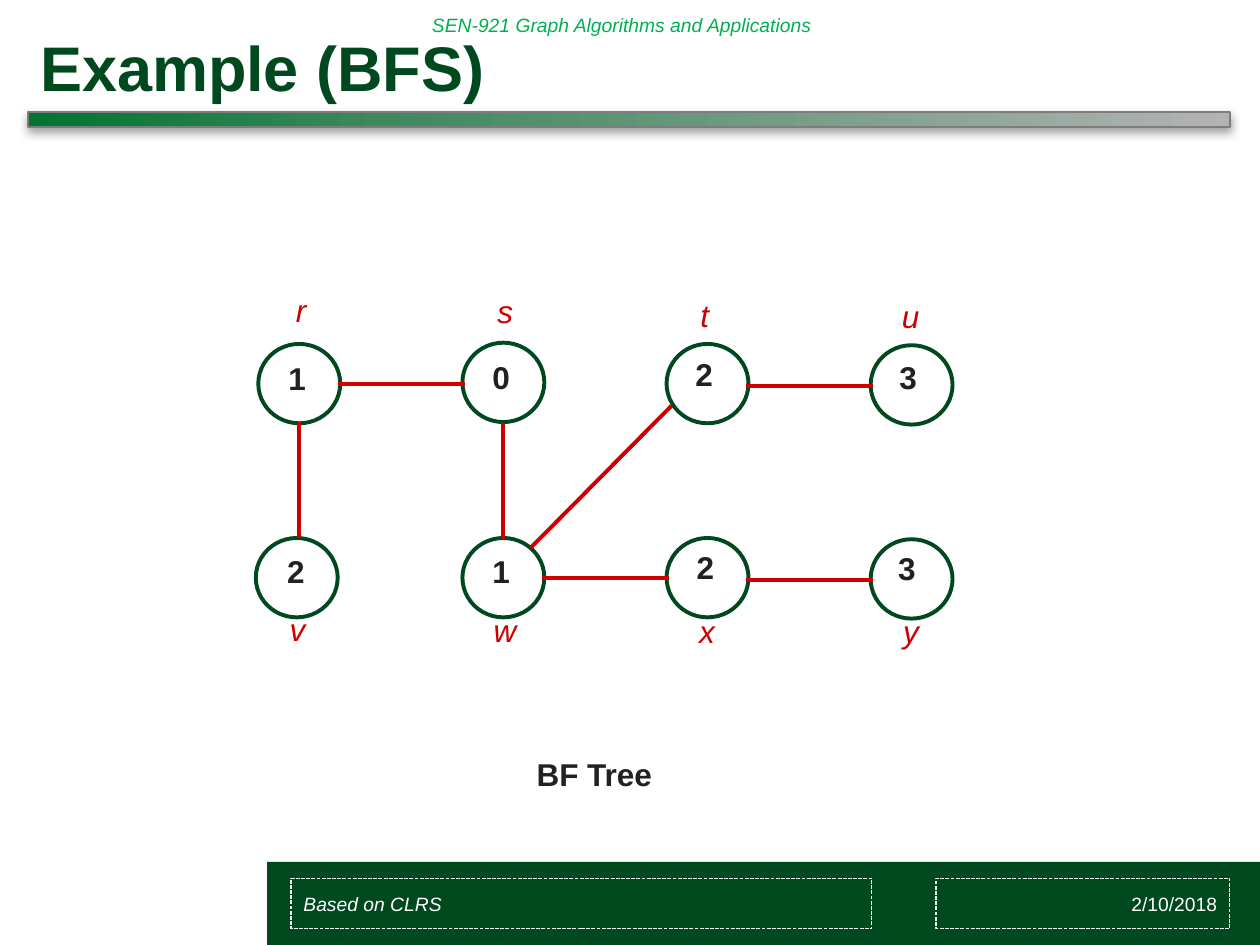
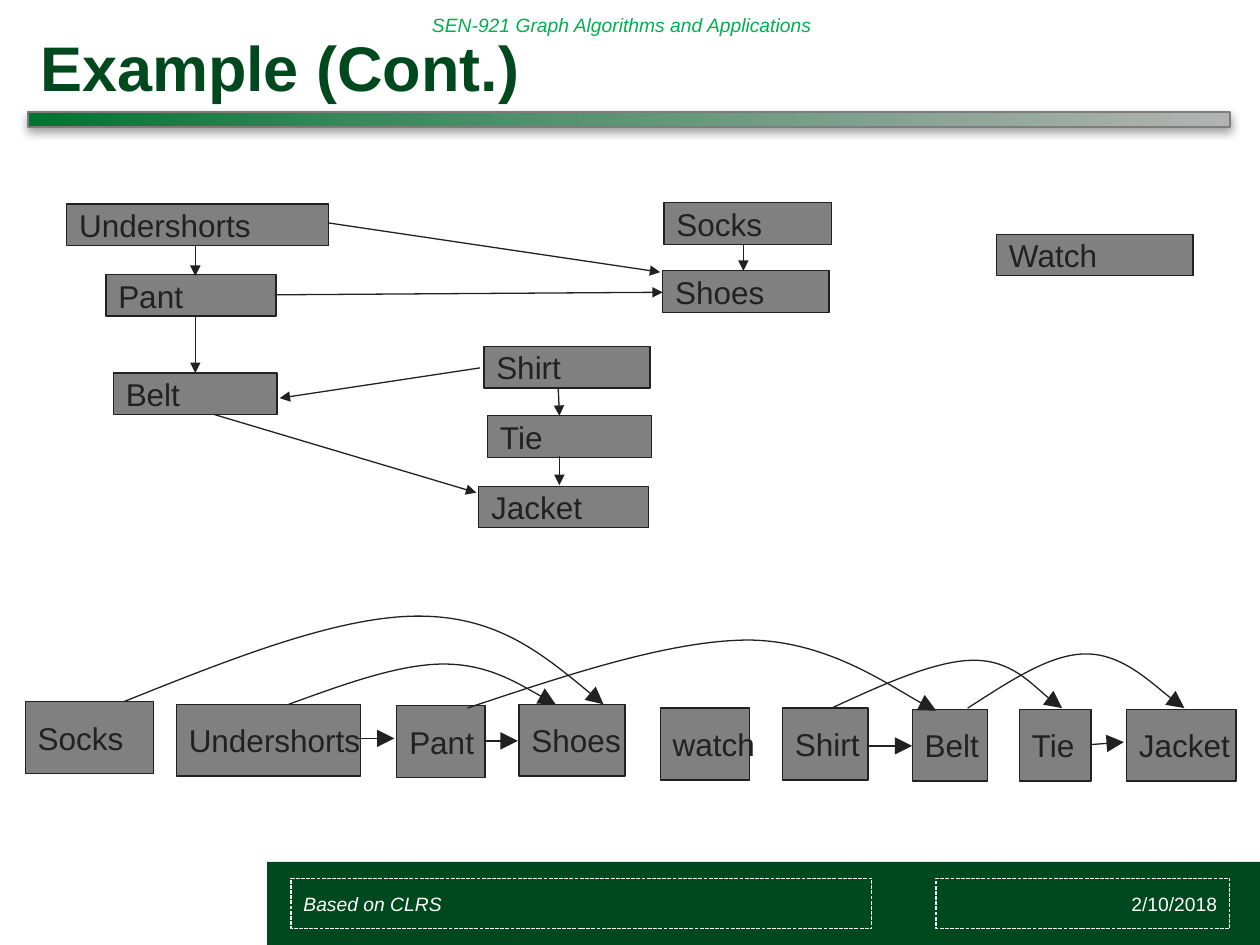
from copy import deepcopy

from lxml import etree
from pptx import Presentation
from pptx.dml.color import RGBColor
from pptx.enum.dml import MSO_LINE
from pptx.enum.shapes import MSO_CONNECTOR, MSO_SHAPE
from pptx.enum.text import MSO_ANCHOR as ANCHOR, PP_ALIGN as ALIGN
from pptx.oxml.ns import qn
from pptx.util import Inches, Pt

GREEN = RGBColor(0x00, 0x48, 0x1E)
COURSE_GREEN = RGBColor(0x00, 0xB0, 0x50)
BAR_STOPS = [(0, RGBColor(0x00, 0x74, 0x30)), (0.29, RGBColor(0x3C, 0x89, 0x5C)),
             (1, RGBColor(0xB3, 0xB3, 0xB3))]
BAR_EDGE = RGBColor(0x7D, 0x7D, 0x7D)
RED = RGBColor(0xCC, 0x00, 0x00)
INK = RGBColor(0x21, 0x21, 0x21)
GREY = RGBColor(0x80, 0x80, 0x80)
PALE = RGBColor(0xF2, 0xF2, 0xF2)
WHITE = RGBColor(0xFF, 0xFF, 0xFF)


def write(box, text, size, color, bold=False, italic=False,
          align=ALIGN.LEFT, anchor=ANCHOR.MIDDLE, wrap=False):
    frame = box.text_frame
    frame.text = text
    frame.word_wrap = wrap
    frame.vertical_anchor = anchor
    paragraph = frame.paragraphs[0]
    paragraph.alignment = align
    font = paragraph.runs[0].font
    font.name, font.size, font.color.rgb = "Arial", Pt(size), color
    font.bold, font.italic = bold, italic


def outline(shape, color, width, arrow=None):
    """Set the line, an optional arrowhead of the given size, and no shadow."""
    shape.line.color.rgb = color
    shape.line.width = Pt(width)
    if arrow:
        etree.SubElement(shape.line._get_or_add_ln(), qn("a:tailEnd"),
                         type="triangle", w=arrow, len=arrow)
    return etree.SubElement(shape.element.spPr, qn("a:effectLst"))


deck = Presentation()
deck.slide_width, deck.slide_height = Inches(10), Inches(7.5)

# Frame shared by both slides
pages = []
for title in ("Example (BFS)", "Example (Cont.)"):
    page = deck.slides.add_slide(deck.slide_layouts[6])
    pages.append(page)

    band = page.shapes.add_shape(MSO_SHAPE.RECTANGLE, Inches(2.12), Inches(6.84),
                                 Inches(7.88), Inches(0.66))
    band.shadow.inherit = False
    band.fill.solid()
    band.fill.fore_color.rgb = GREEN
    band.line.fill.background()

    course = page.shapes.add_textbox(Inches(3.33), 0, Inches(4.61), Inches(0.4))
    write(course, "SEN-921 Graph Algorithms and Applications", 11, COURSE_GREEN,
          italic=True, wrap=True)

    # Gradient bar with a soft shadow
    bar = page.shapes.add_shape(MSO_SHAPE.RECTANGLE, Inches(0.22), Inches(0.89),
                                Inches(9.54), Inches(0.12))
    bar.fill.gradient()
    bar.fill.gradient_angle = 0
    stop_list = bar.element.spPr.find(".//" + qn("a:gsLst"))
    stop_list.append(deepcopy(stop_list[0]))
    for stop, (position, color) in zip(bar.fill.gradient_stops, BAR_STOPS):
        stop.position = position
        stop.color.rgb = color
    effects = outline(bar, BAR_EDGE, 1)
    shadow = etree.SubElement(effects, qn("a:outerShdw"), blurRad=str(Pt(5)),
                              dist=str(Pt(2)), dir="5400000", rotWithShape="0")
    shade = etree.SubElement(shadow, qn("a:srgbClr"), val=str(GREY))
    etree.SubElement(shade, qn("a:alpha"), val="75000")

    heading = page.shapes.add_textbox(Inches(0.22), Inches(0.16), Inches(9.54), Inches(0.73))
    write(heading, title, 36, GREEN, bold=True)

    for text, left, width, align, italic in (
            ("2/10/2018", 7.43, 2.33, ALIGN.RIGHT, False),
            ("Based on CLRS", 2.31, 4.61, ALIGN.LEFT, True)):
        footer = page.shapes.add_shape(MSO_SHAPE.RECTANGLE, Inches(left), Inches(6.97),
                                       Inches(width), Inches(0.4))
        footer.fill.background()
        outline(footer, PALE, 0.75)
        footer.line.dash_style = MSO_LINE.SQUARE_DOT
        write(footer, text, 11, WHITE, italic=italic, align=align, wrap=True)

tree_page, order_page = pages

# Breadth-first tree: circle, distance and name of each vertex
vertices = [
    ("r", 2.25, 2.26, 0.29, "1", 2.19, 2.80, 2.05, 2.73),
    ("s", 3.85, 2.27, 0.33, "0", 3.81, 2.79, 3.67, 2.72),
    ("t", 5.46, 2.30, 0.27, "2", 5.42, 2.77, 5.29, 2.73),
    ("u", 7.06, 2.31, 0.34, "3", 7.04, 2.79, 6.91, 2.74),
    ("v", 2.20, 4.79, 0.33, "2", 2.18, 4.33, 2.03, 4.27),
    ("w", 3.82, 4.80, 0.38, "1", 3.81, 4.33, 3.67, 4.27),
    ("x", 5.45, 4.81, 0.33, "2", 5.43, 4.30, 5.29, 4.27),
    ("y", 7.07, 4.81, 0.33, "3", 7.03, 4.31, 6.91, 4.28),
]
for name, name_x, name_y, name_width, distance, digit_x, digit_y, left, top in vertices:
    circle = tree_page.shapes.add_shape(MSO_SHAPE.OVAL, Inches(left), Inches(top),
                                        Inches(0.65), Inches(0.63))
    circle.fill.background()
    outline(circle, GREEN, 2.25)
    digit = tree_page.shapes.add_textbox(Inches(digit_x), Inches(digit_y),
                                         Inches(0.37), Inches(0.5))
    write(digit, distance, 18, INK, bold=True, anchor=ANCHOR.TOP)
    label = tree_page.shapes.add_textbox(Inches(name_x), Inches(name_y),
                                         Inches(name_width), Inches(0.4))
    write(label, name, 18, RED, italic=True, anchor=ANCHOR.TOP)

caption = tree_page.shapes.add_textbox(Inches(4.16), Inches(5.94), Inches(1.38), Inches(0.5))
write(caption, "BF Tree", 18, INK, bold=True, anchor=ANCHOR.TOP)

tree_edges = [
    (2.68, 3.05, 3.69, 3.05), (4.30, 4.59, 5.31, 4.59), (5.92, 4.60, 6.93, 4.60),
    (5.92, 3.06, 6.93, 3.06), (2.37, 3.35, 2.37, 4.27), (3.99, 3.36, 3.99, 4.28),
    (4.21, 4.35, 5.33, 3.22),
]
for ends in tree_edges:
    edge = tree_page.shapes.add_connector(MSO_CONNECTOR.STRAIGHT, *map(Inches, ends))
    outline(edge, RED, 2.25)

# Clothing graph above, its topological order below
graph_boxes = [
    ("Undershorts", 0.53, 1.62, 2.08), ("Watch", 7.91, 1.86, 1.56),
    ("Socks", 5.27, 1.61, 1.33), ("Jacket", 3.80, 3.86, 1.35),
    ("Tie", 3.87, 3.30, 1.30), ("Shirt", 3.84, 2.75, 1.32),
    ("Belt", 0.90, 2.96, 1.30), ("Shoes", 5.26, 2.15, 1.32),
    ("Pant", 0.84, 2.18, 1.35),
]
order_boxes = [
    ("Socks", 0.20, 5.57, 1.02), ("Jacket", 8.94, 5.63, 0.87),
    ("Undershorts", 1.40, 5.59, 1.46), ("Pant", 3.15, 5.60, 0.70),
    ("Shoes", 4.12, 5.59, 0.84), ("watch", 5.24, 5.62, 0.71),
    ("Shirt", 6.21, 5.62, 0.68), ("Belt", 7.24, 5.63, 0.60),
    ("Tie", 8.09, 5.63, 0.57),
]
graph_arrows = [
    (5.90, 1.94, 5.90, 2.15), (4.43, 3.07, 4.44, 3.30), (4.44, 3.62, 4.44, 3.85),
    (1.55, 1.95, 1.55, 2.19), (1.55, 2.50, 1.55, 2.96), (3.81, 2.92, 2.22, 3.16),
    (1.70, 3.29, 3.78, 3.91), (2.18, 2.34, 5.26, 2.32), (2.61, 1.77, 5.24, 2.16),
]
order_arrows = [
    (2.84, 5.86, 3.13, 5.86), (3.84, 5.88, 4.11, 5.88),
    (6.89, 5.92, 7.24, 5.92), (8.65, 5.91, 8.92, 5.89),
]
for boxes, arrows, height, head in ((graph_boxes, graph_arrows, 0.33, "med"),
                                    (order_boxes, order_arrows, 0.57, "lg")):
    for garment, left, top, width in boxes:
        box = order_page.shapes.add_shape(MSO_SHAPE.RECTANGLE, Inches(left), Inches(top),
                                          Inches(width), Inches(height))
        box.fill.solid()
        box.fill.fore_color.rgb = GREY
        outline(box, INK, 0.75)
        write(box, garment, 18, INK)
    for ends in arrows:
        arrow = order_page.shapes.add_connector(MSO_CONNECTOR.STRAIGHT, *map(Inches, ends))
        outline(arrow, INK, 0.75, head)

# Arcs over the order: a start point, then two cubic curves of three points each
arcs = [
    [(2.29, 5.59), (2.73, 5.43), (3.17, 5.27), (3.52, 5.27), (3.88, 5.27), (4.26, 5.51), (4.41, 5.59)],
    [(0.98, 5.57), (1.83, 5.23), (2.68, 4.89), (3.32, 4.89), (3.95, 4.89), (4.37, 5.24), (4.79, 5.59)],
    [(3.71, 5.62), (4.52, 5.35), (5.33, 5.08), (5.95, 5.08), (6.57, 5.09), (7.22, 5.55), (7.43, 5.64)],
    [(6.60, 5.62), (7.01, 5.43), (7.43, 5.24), (7.73, 5.24), (8.03, 5.24), (8.31, 5.55), (8.43, 5.62)],
    [(7.68, 5.62), (8.01, 5.41), (8.33, 5.19), (8.62, 5.19), (8.91, 5.19), (9.27, 5.54), (9.40, 5.62)],
]
for start, *knots in arcs:
    builder = order_page.shapes.build_freeform(*map(Inches, start))
    builder.add_line_segments([tuple(map(Inches, knot)) for knot in knots], close=False)
    arc = builder.convert_to_shape()
    # Join each three straight segments into one cubic curve
    segments = list(arc.element.iter(qn("a:lnTo")))
    outline_path = segments[0].getparent()
    for first in (0, 3):
        curve = etree.SubElement(outline_path, qn("a:cubicBezTo"))
        for segment in segments[first:first + 3]:
            curve.append(segment[0])
            outline_path.remove(segment)
    arc.fill.background()
    outline(arc, INK, 0.75, "lg")

deck.save("out.pptx")
